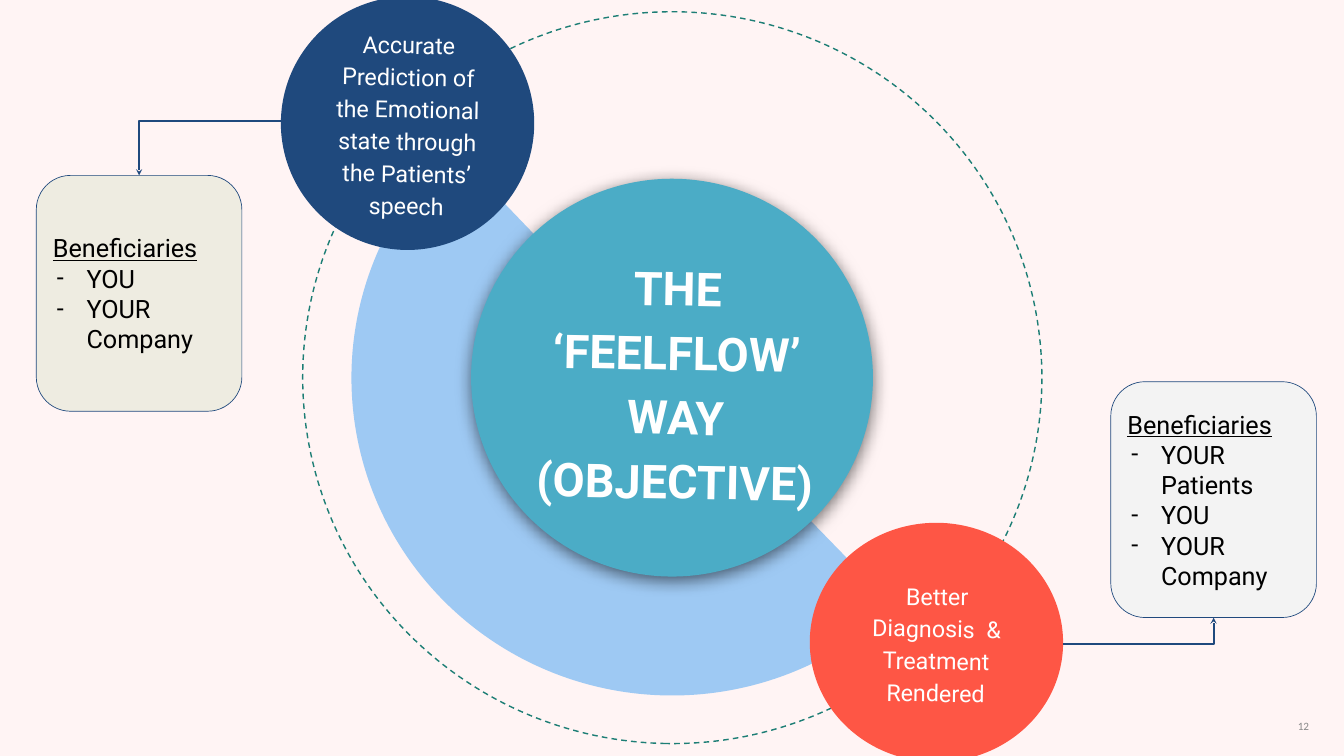
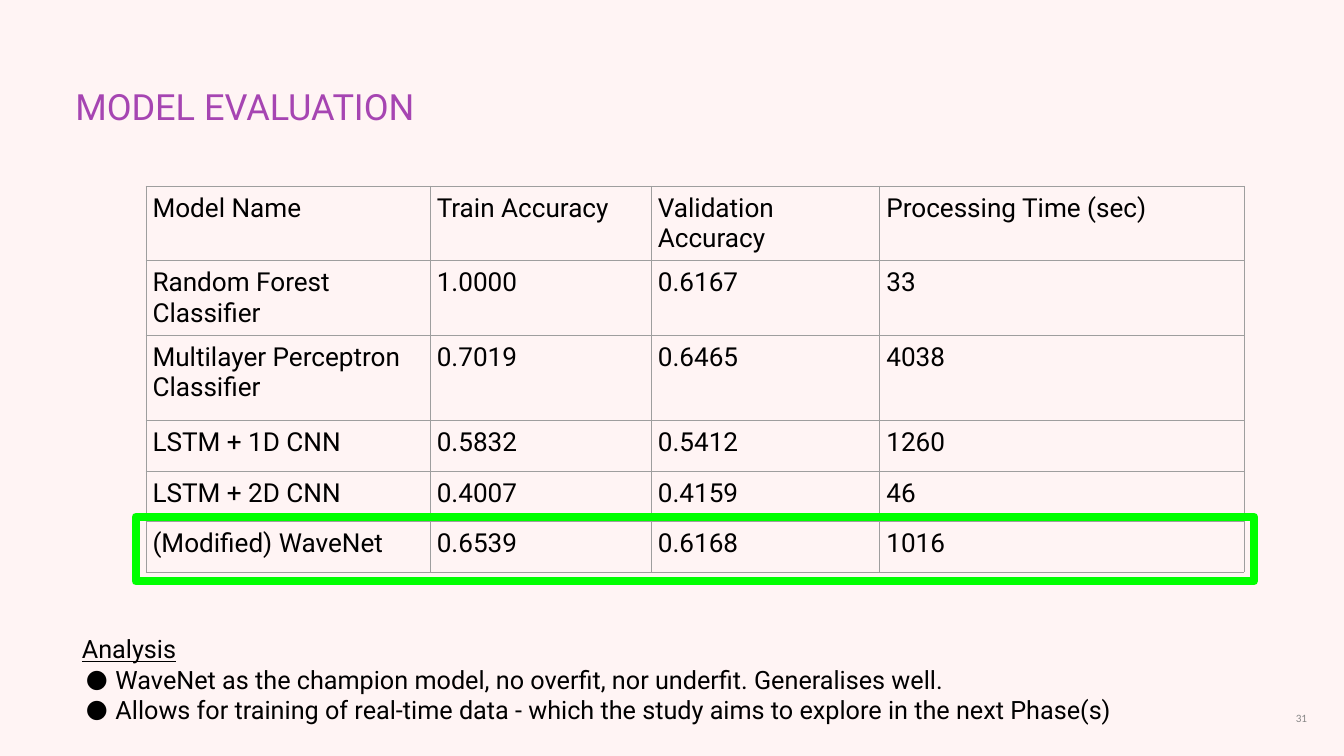
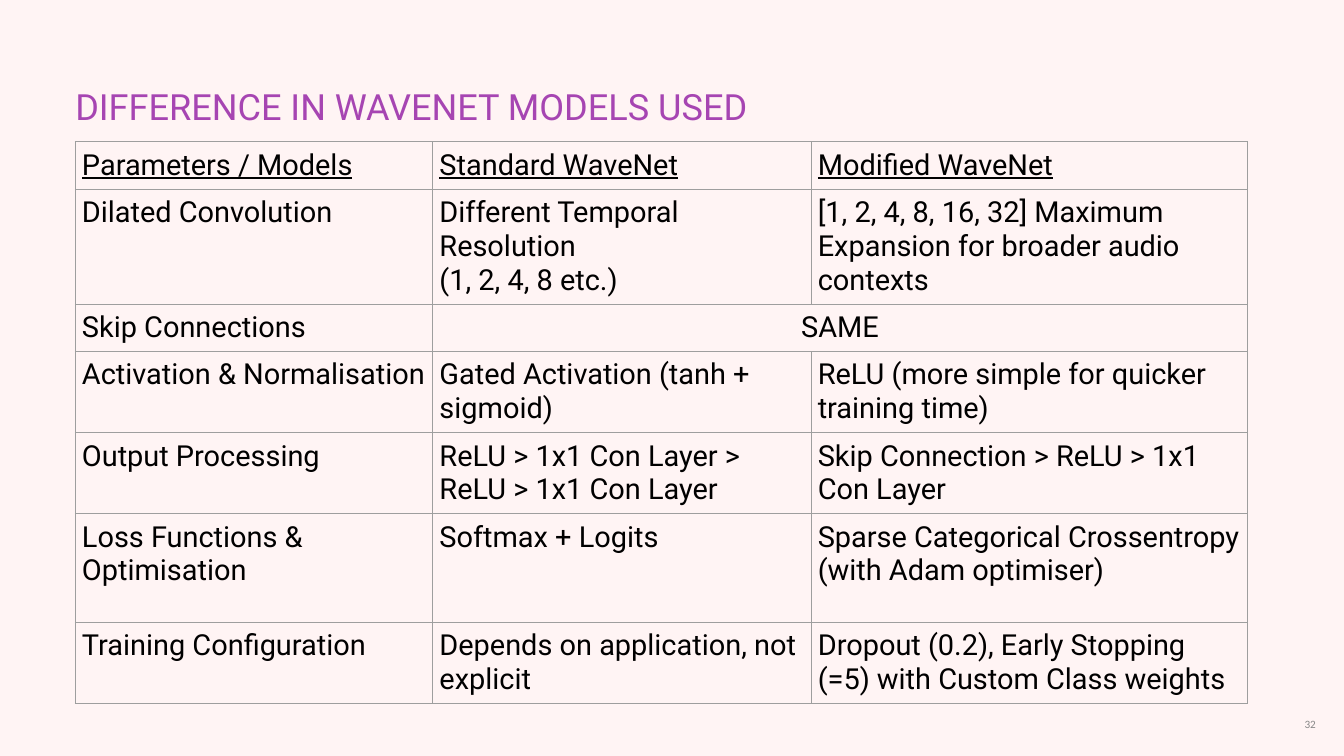
from lxml import etree
from pptx import Presentation
from pptx.dml.color import RGBColor
from pptx.enum.dml import MSO_LINE
from pptx.enum.shapes import MSO_CONNECTOR, MSO_SHAPE
from pptx.enum.text import MSO_ANCHOR, PP_ALIGN
from pptx.oxml.ns import qn
from pptx.util import Inches, Pt

OVAL, PIE = MSO_SHAPE.OVAL, MSO_SHAPE.PIE
RECTANGLE, ROUNDED = MSO_SHAPE.RECTANGLE, MSO_SHAPE.ROUNDED_RECTANGLE
LEFT, CENTER, RIGHT = PP_ALIGN.LEFT, PP_ALIGN.CENTER, PP_ALIGN.RIGHT
TOP, MIDDLE = MSO_ANCHOR.TOP, MSO_ANCHOR.MIDDLE

COLORS = {
    "background": "FFF4F4", "title": "A645B2", "text": "000000",
    "white": "FFFFFF", "number": "888888", "border": "9E9E9E",
    "navy": "1F497D", "teal": "4BACC6", "sky": "9EC9F3", "coral": "FE5645",
    "orbit": "1D7E75", "sand": "EEECE1", "gray": "F3F3F3", "highlight": "00FF00",
}
RGB = {name: RGBColor.from_string(value) for name, value in COLORS.items()}

presentation = Presentation()
presentation.slide_width = Inches(20)
presentation.slide_height = Inches(11.25)
COLUMN = presentation.slide_width / 20  # square grid: 20 columns by 11.25 rows
TILT = 1

background = presentation.slide_master.background.fill
background.solid()
background.fore_color.rgb = RGB["background"]
TITLE_ONLY, BLANK = presentation.slide_layouts[5], presentation.slide_layouts[6]


def grid(*lengths):
    return [round(COLUMN * length) for length in lengths]


def write(frame, lines, size, color="text", align=LEFT, spacing=None, bold=False,
          font="Roboto", inset=None, anchor=None, bullet=None, underline=False):
    """Fill a text frame; underline marks the first line, bullet the others."""
    if inset is not None:
        frame.word_wrap = True
        frame.margin_left = frame.margin_right = Inches(inset)
        frame.margin_top = frame.margin_bottom = Inches(inset)
    if anchor is not None:
        frame.vertical_anchor = anchor
    for index, line in enumerate(lines):
        paragraph = frame.add_paragraph() if index else frame.paragraphs[0]
        paragraph.text = line
        paragraph.alignment = align
        if spacing:
            paragraph.line_spacing = spacing
        if bullet and index:
            properties = paragraph._p.get_or_add_pPr()
            properties.set("marL", str(Inches(0.5)))
            properties.set("indent", str(Inches(-0.44)))
            bullet_color = etree.SubElement(properties, qn("a:buClr"))
            etree.SubElement(bullet_color, qn("a:srgbClr"), val=COLORS[color])
            etree.SubElement(properties, qn("a:buFont"), typeface=font)
            etree.SubElement(properties, qn("a:buChar"), char=bullet)
        paragraph.font.name = font
        paragraph.font.size = Pt(size)
        paragraph.font.color.rgb = RGB[color]
        paragraph.font.bold = bold
        paragraph.font.underline = underline and index == 0


# Objective slide: orbit, half ring and three circles
slide = presentation.slides.add_slide(BLANK)
discs = [
    # preset, box, rotation, fill
    (OVAL, (4.56, 0.12, 10.89, 11), 271, None),
    (PIE, (5.23, 0.9, 9.54, 9.45), TILT, "sky"),
    (OVAL, (7.01, 2.66, 5.98, 5.92), TILT, "teal"),
    (OVAL, (4.18, -0.05, 3.77, 3.77), TILT, "navy"),
    (OVAL, (12.05, 7.78, 3.77, 3.56), TILT, "coral"),
]
drawn = []
for preset, box, rotation, fill in discs:
    disc = slide.shapes.add_shape(preset, *grid(*box))
    disc.rotation = rotation
    disc.shadow.inherit = False
    if fill:
        disc.fill.solid()
        disc.fill.fore_color.rgb = RGB[fill]
        disc.line.fill.background()
    else:
        disc.fill.background()
        disc.line.color.rgb = RGB["orbit"]
        disc.line.width = Pt(1.5)
        disc.line.dash_style = MSO_LINE.DASH
    drawn.append(disc)
orbit, half_ring, center_disc = drawn[:3]

# The half ring runs from 44.8 to 225.2 degrees
half_ring.adjustments[0] = 26.9
half_ring.adjustments[1] = 135.11

effects = center_disc.element.spPr.find(qn("a:effectLst"))
shadow = etree.SubElement(effects, qn("a:outerShdw"), blurRad=str(Pt(18)),
                          dist=str(Pt(4)), dir="5400000", rotWithShape="0")
shadow_color = etree.SubElement(shadow, qn("a:srgbClr"), val=COLORS["text"])
etree.SubElement(shadow_color, qn("a:alpha"), val="55000")

# Circle labels
labels = [
    ((7.58, 4.3, 4.97, 2.7), 50, True, ["THE ‘FEELFLOW’", "WAY", "(OBJECTIVE)"]),
    ((4.72, 0.54, 2.69, 2.58), 25, False,
     ["Accurate Prediction of the Emotional state through the Patients’ speech"]),
    ((12.59, 8.34, 2.69, 2.44), 25, False, ["Better Diagnosis  & Treatment Rendered"]),
]
for box, size, bold, lines in labels:
    label = slide.shapes.add_textbox(*grid(*box))
    label.rotation = TILT
    write(label.text_frame, lines, size, "white", CENTER, 1.15, bold,
          inset=0.2, anchor=MIDDLE)

# Beneficiary cards, each with an arrow from its circle
cards = [
    ((0.54, 2.61), "sand", ["YOU", "YOUR Company"], (4.18, 1.8, 2.07, 2.61)),
    ((16.53, 5.68), "gray", ["YOUR Patients", "YOU", "YOUR Company"],
     (15.82, 9.59, 18.06, 9.19)),
]
for corner, fill, names, ends in cards:
    card = slide.shapes.add_shape(ROUNDED, *grid(*corner, 3.06, 3.51))
    card.shadow.inherit = False
    card.fill.solid()
    card.fill.fore_color.rgb = RGB[fill]
    card.line.color.rgb = RGB["navy"]
    card.line.width = Pt(0.75)
    write(card.text_frame, ["Beneficiaries", *names], 27, inset=0.1,
          anchor=MIDDLE, bullet="-", underline=True)

    arrow = slide.shapes.add_connector(MSO_CONNECTOR.ELBOW, *grid(*ends))
    arrow.line.color.rgb = RGB["navy"]
    arrow.line.width = Pt(2.25)
    arrow_properties = arrow.element.spPr
    arrow_properties.find(qn("a:prstGeom")).set("prst", "bentConnector2")
    etree.SubElement(arrow_properties.find(qn("a:ln")), qn("a:tailEnd"), type="stealth")
    etree.SubElement(arrow_properties, qn("a:effectLst"))

# Table slides
evaluation = [
    ["Model Name", "Train Accuracy", "Validation Accuracy", "Processing Time (sec)"],
    ["Random Forest Classifier", "1.0000", "0.6167", "33"],
    ["Multilayer Perceptron Classifier", "0.7019", "0.6465", "4038"],
    ["LSTM + 1D CNN", "0.5832", "0.5412", "1260"],
    ["LSTM + 2D CNN", "0.4007", "0.4159", "46"],
    ["(Modified) WaveNet", "0.6539", "0.6168", "1016"],
]
# None continues the cell to its left
difference = [
    ["Parameters / Models", "Standard WaveNet", "Modified WaveNet"],
    ["Dilated Convolution", "Different Temporal Resolution\n(1, 2, 4, 8 etc.)",
     "[1, 2, 4, 8, 16, 32] Maximum Expansion for broader audio contexts"],
    ["Skip Connections", "SAME", None],
    ["Activation & Normalisation", "Gated Activation (tanh + sigmoid)",
     "ReLU (more simple for quicker training time)"],
    ["Output Processing", "ReLU > 1x1 Con Layer > ReLU > 1x1 Con Layer",
     "Skip Connection > ReLU > 1x1 Con Layer"],
    ["Loss Functions & Optimisation", "Softmax + Logits",
     "Sparse Categorical Crossentropy (with Adam optimiser)"],
    ["Training Configuration", "Depends on application, not explicit",
     "Dropout (0.2), Early Stopping (=5) with Custom Class weights"],
]
table_slides = [
    # title, title width, table corner, column widths, row heights, size, underlined header, cells
    ("MODEL EVALUATION", 9.72, (2.17, 2.77), (4.23, 3.29, 3.4, 5.42),
     (0.75, 0.75, 1.27, 0.75, 0.75, 0.75), 28, False, evaluation),
    ("DIFFERENCE IN WAVENET MODELS USED", 14.57, (1.12, 2.11), (5.32, 5.63, 6.49),
     (0.65, 1.62, 0.65, 1.14, 1.14, 1.62, 1.14), 31, True, difference),
]
for heading, heading_width, corner, widths, heights, size, underlined, cells in table_slides:
    slide = presentation.slides.add_slide(TITLE_ONLY)
    title = slide.shapes.title
    title.left, title.top, title.width, title.height = grid(1.12, 1, heading_width, 0.65)
    write(title.text_frame, [heading], 38.7, "title", spacing=1.4, inset=0, anchor=TOP)

    table = slide.shapes.add_table(len(heights), len(widths),
                                   *grid(*corner, sum(widths), sum(heights))).table
    table.first_row = table.horz_banding = False
    for column, width in zip(table.columns, grid(*widths)):
        column.width = width
    for row, height in zip(table.rows, grid(*heights)):
        row.height = height

    for row_index, texts in enumerate(cells):
        for column_index, text in enumerate(texts):
            cell = table.cell(row_index, column_index)
            cell.margin_left = cell.margin_right = Inches(0.1)
            cell.margin_top = cell.margin_bottom = Inches(0.1)
            cell_properties = cell._tc.get_or_add_tcPr()
            for side in ("a:lnL", "a:lnR", "a:lnT", "a:lnB"):
                border = etree.SubElement(cell_properties, qn(side), w=str(Pt(0.75)))
                border_fill = etree.SubElement(border, qn("a:solidFill"))
                etree.SubElement(border_fill, qn("a:srgbClr"), val=COLORS["border"])
            cell.fill.background()
            if text is None:
                table.cell(row_index, column_index - 1).merge(cell)
                continue
            spans = None in texts[column_index + 1:column_index + 2]
            write(cell.text_frame, text.split("\n"), size,
                  align=CENTER if spans else LEFT,
                  underline=underlined and row_index == 0)

# Evaluation slide: frame around the best model, and the analysis
slide = presentation.slides[1]
frame = slide.shapes.add_shape(RECTANGLE, *grid(2.02, 7.69, 16.64, 0.96))
frame.shadow.inherit = False
frame.fill.background()
frame.line.color.rgb = RGB["highlight"]
frame.line.width = Pt(9)

analysis = slide.shapes.add_textbox(*grid(1.12, 9.33, 18.88, 0.96))
write(analysis.text_frame, [
    "Analysis",
    "WaveNet as the champion model, no overfit, nor underfit. Generalises well.",
    "Allows for training of real-time data - which the study aims to explore "
    "in the next Phase(s)",
], 27, inset=0.1, anchor=TOP, bullet="●", underline=True)

# Slide numbers
numbers = [("12", 17.25, 10.6), ("31", 17.22, 10.48), ("32", 17.35, 10.57)]
for slide, (number, left, top) in zip(presentation.slides, numbers):
    number_box = slide.shapes.add_textbox(*grid(left, top, 2.33, 0.4))
    write(number_box.text_frame, [number], 12, "number", RIGHT, font="Calibri",
          inset=0.1, anchor=MIDDLE)

presentation.save("out.pptx")
